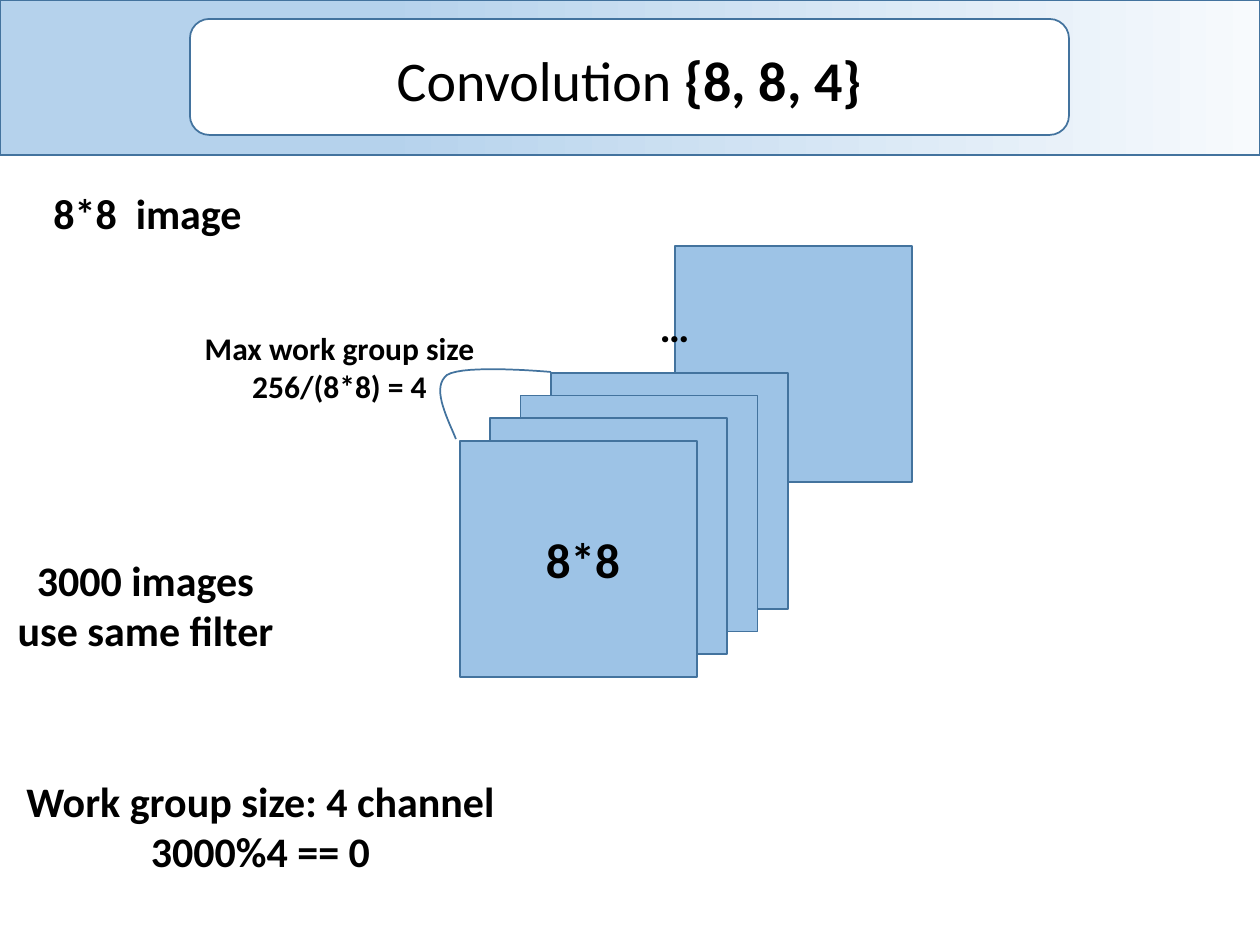
import pptx
import pptx.util
import pptx.dml.color
import pptx.enum.shapes
import pptx.enum.text

RGB = pptx.dml.color.RGBColor
SHAPE = pptx.enum.shapes.MSO_SHAPE
PX = 914400 / 126

BLACK = RGB(0, 0, 0)
WHITE = RGB(255, 255, 255)
OUTLINE = RGB(0x43, 0x73, 0x9E)
TILE = RGB(0x9D, 0xC3, 0xE6)
BAND_PALE = RGB(0xF7, 0xFA, 0xFD)
BAND_BLUE = RGB(0xB5, 0xD2, 0xEC)

# Content: left, top, width, height, size, lines of (text, bold) runs
TEXT_W = 873
TEXTS = [
    (-289, 181, TEXT_W, 63, 24, [[("8*8  image", True)]]),
    (-291, 548, TEXT_W, 115, 24,
     [[("3000 images", True)], [("use same filter", True)]]),
    (507, 523, 152, 72, 28, [[("8*8", True)]]),
    (-176, 769, TEXT_W, 115, 24,
     [[("Work group size: 4 channel", True)], [("3000%4 == 0", True)]]),
    (238, 294, TEXT_W, 63, 24, [[("…", True)]]),
    (-97, 323, TEXT_W, 89, 18,
     [[("Max work group size", True)], [("256/(8*8) = 4", True)]]),
    (193, 39, TEXT_W, 81, 32,
     [[("Convolution ", False), ("{8, 8, 4}", True)]]),
]
TILE_W, TILE_H = 237, 236
LAST_TILE = (675, 246)
FRONT_TILE = (460, 441)
TILE_STEP = (30.3, -22.7)
GROUP_SIZE = 4
# Two cubic curves, each with start, two controls and end
BRACE = [
    [(456, 439), (445, 413), (432, 387), (447, 375)],
    [(447, 375), (464, 364), (551, 372), (551, 372)],
]


def emu(*lengths):
    return [pptx.util.Emu(round(v * PX)) for v in lengths]


def outline(sp):
    sp.shadow.inherit = False
    sp.line.color.rgb = OUTLINE
    sp.line.width = pptx.util.Pt(1)


def add_box(kind, box, color):
    sp = slide.shapes.add_shape(kind, *emu(*box))
    outline(sp)
    if color is not None:
        sp.fill.solid()
        sp.fill.fore_color.rgb = color
    return sp


def add_text(left, top, width, height, size, lines):
    tf = slide.shapes.add_textbox(*emu(left, top, width, height)).text_frame
    tf.word_wrap = True
    for i, runs in enumerate(lines):
        p = tf.paragraphs[0] if i == 0 else tf.add_paragraph()
        p.alignment = pptx.enum.text.PP_ALIGN.CENTER
        for text, bold in runs:
            r = p.add_run()
            r.text = text
            r.font.name = "Calibri"
            r.font.size = pptx.util.Pt(size)
            r.font.bold = bold
            r.font.color.rgb = BLACK


def bezier(points, t):
    weights = ((1 - t) ** 3, 3 * t * (1 - t) ** 2, 3 * t * t * (1 - t), t ** 3)
    return tuple(sum(w * pt[k] for w, pt in zip(weights, points)) for k in (0, 1))


prs = pptx.Presentation()
prs.slide_width, prs.slide_height = emu(1260, 945)
slide = prs.slides.add_slide(prs.slide_layouts[6])

# Title band, fading to the right
band = add_box(SHAPE.RECTANGLE, (0, 0, 1260, 155), None)
band.fill.gradient()
band.fill.gradient_angle = 180
stops = band.fill.gradient_stops
for stop, position, color in zip(stops, (0, 0.7), (BAND_PALE, BAND_BLUE)):
    stop.position = position
    stop.color.rgb = color
add_box(SHAPE.ROUNDED_RECTANGLE, (190, 19, 879, 116), WHITE)

# Image tiles, from back to front
tiles = [LAST_TILE] + [
    (FRONT_TILE[0] + i * TILE_STEP[0], FRONT_TILE[1] + i * TILE_STEP[1])
    for i in reversed(range(GROUP_SIZE))]
for x, y in tiles:
    add_box(SHAPE.RECTANGLE, (x, y, TILE_W, TILE_H), TILE)

# Curve that spans the work group
STEPS = 16
curve = [bezier(part, i / STEPS) for part in BRACE for i in range(1, STEPS + 1)]
builder = slide.shapes.build_freeform(*emu(*BRACE[0][0]), scale=1.0)
builder.add_line_segments([emu(*pt) for pt in curve], close=False)
brace = builder.convert_to_shape()
outline(brace)
brace.fill.background()

# Labels and title
for item in TEXTS:
    add_text(*item)

prs.save("out.pptx")
